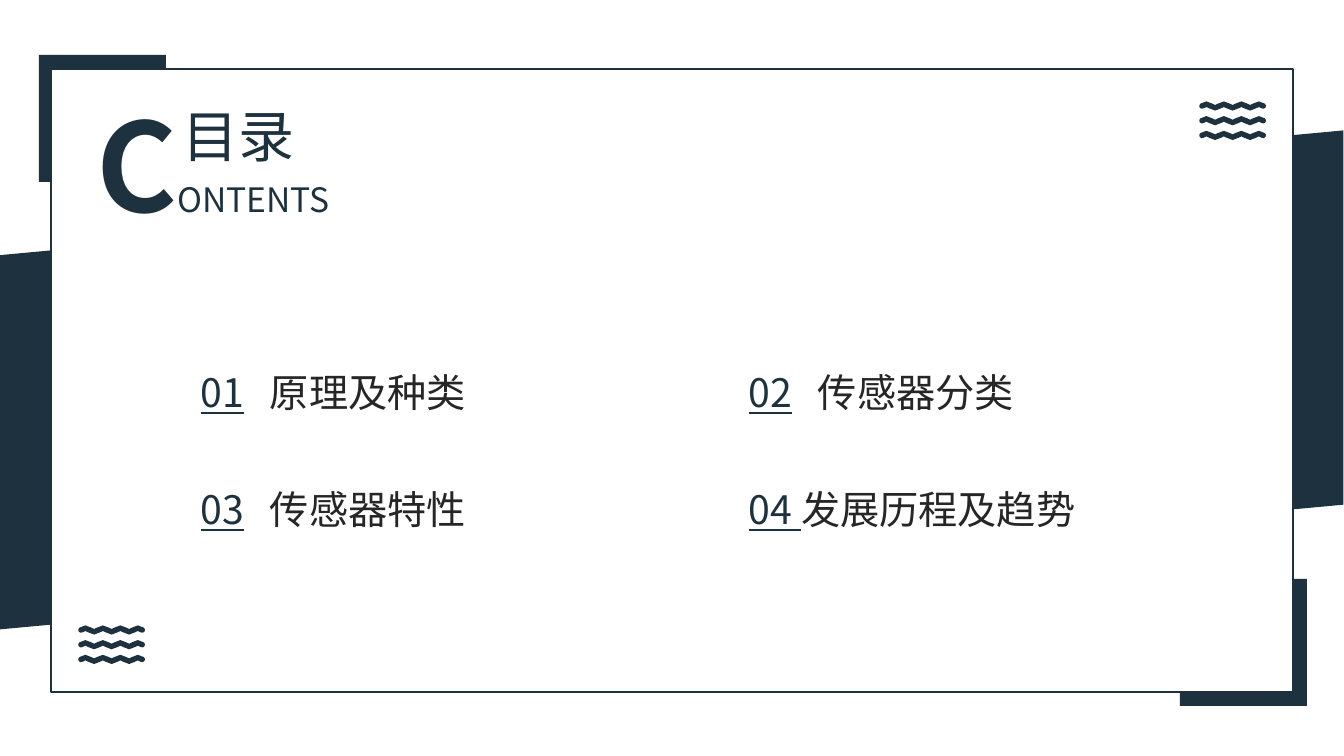
"""Builds the contents slide of a deck about sensors."""
from dataclasses import dataclass
from math import atan, cos, pi, sin

from pptx import Presentation
from pptx.dml.color import RGBColor
from pptx.enum.shapes import MSO_SHAPE
from pptx.enum.text import MSO_ANCHOR, MSO_AUTO_SIZE, PP_ALIGN
from pptx.oxml.ns import qn
from pptx.util import Emu, Pt

TITLE = "目录"
CONTENTS = ("C", "ONTENTS")
AGENDA = [
    ("01", "原理及种类"),
    ("02", "传感器分类"),
    ("03", "传感器特性"),
    ("04 ", "发展历程及趋势"),
]

PAGE_WIDTH, PAGE_HEIGHT = 1344, 756
CORNERS = [(39, 55), (1180, 579)]
CORNER_SIDE = 127
BAND = (422, -292, 499, PAGE_WIDTH)
FRAME = (51, 69, 1242, 623)
TITLE_BOX = (172, 96, 169, 78)
CONTENTS_BOX = (30, 84, 366, 159)
GRID_LEFT, GRID_TOP, COLUMN_STEP, ROW_STEP = 191, 363, 548, 117
NUMBER_WIDTH, HEADING_WIDTH, HEADING_OFFSET, ENTRY_HEIGHT = 96, 346, 69, 57
WAVE_STARTS = [(81, 630), (1202, 106)]
WAVE_ROWS, WAVE_GAP, WAVE_PERIOD, WAVE_CYCLES = 3, 14.7, 17.5, 3.5
WAVE_HEIGHT, WAVE_RADIUS, WAVE_STEPS, CAP_STEPS = 1.8, 2.8, 14, 4


@dataclass(frozen=True)
class Theme:
    """Colours, font and type sizes of the slide."""
    navy: RGBColor = RGBColor.from_string("1D323E")
    white: RGBColor = RGBColor.from_string("FFFFFF")
    ink: RGBColor = RGBColor.from_string("262626")
    font: str = "Noto Sans CJK SC"
    initial: int = 88
    title: int = 40
    entry: int = 28
    word: int = 24


THEME = Theme()


def px(length):
    """Turn pixels into EMU."""
    return Emu(round(length * 914400 / 100.8))


def paint(shape, fill, line=None):
    """Give a shape a flat fill and an optional thin outline."""
    shape.shadow.inherit = False
    shape.fill.solid()
    shape.fill.fore_color.rgb = fill
    if line is None:
        shape.line.fill.background()
    else:
        shape.line.color.rgb = line
        shape.line.width = Pt(1)


def add_block(page, kind, bounds, fill, line=None):
    """Add one painted preset shape."""
    block = page.shapes.add_shape(kind, *map(px, bounds))
    paint(block, fill, line)
    return block


def write(box, spans, align=PP_ALIGN.LEFT):
    """Fill a box with spans of (text, size, colour, bold, underline)."""
    frame = box.text_frame
    frame.word_wrap = True
    frame.auto_size = MSO_AUTO_SIZE.SHAPE_TO_FIT_TEXT
    frame.vertical_anchor = MSO_ANCHOR.TOP
    para = frame.paragraphs[0]
    para.alignment = align
    for text, size, colour, bold, underline in spans:
        span = para.add_run()
        span.text = text
        span.font.name = THEME.font
        span.font.size = Pt(size)
        span.font.color.rgb = colour
        span.font.bold = bold
        span.font.underline = underline
        east_asian = span.font._element.makeelement(qn("a:ea"), {"typeface": THEME.font})
        span.font._element.find(qn("a:latin")).addnext(east_asian)


def add_text(page, bounds, spans, align=PP_ALIGN.LEFT):
    """Add a text box with formatted spans."""
    write(page.shapes.add_textbox(*map(px, bounds)), spans, align)


def wave_outline(left, middle):
    """Return the outline of one round-ended wavy stroke."""
    turn = 2 * pi / WAVE_PERIOD

    def edge(step, angle):
        along = step * WAVE_PERIOD * WAVE_CYCLES / WAVE_STEPS
        tilt = atan(-WAVE_HEIGHT * turn * cos(turn * along))
        return (px(left + along + WAVE_RADIUS * cos(tilt + angle)),
                px(middle - WAVE_HEIGHT * sin(turn * along) + WAVE_RADIUS * sin(tilt + angle)))

    def cap(step, start):
        return [edge(step, start + pi * part / CAP_STEPS) for part in range(1, CAP_STEPS)]

    upper = [edge(step, -pi / 2) for step in range(WAVE_STEPS + 1)]
    lower = [edge(step, pi / 2) for step in range(WAVE_STEPS, -1, -1)]
    return upper + cap(WAVE_STEPS, -pi / 2) + lower + cap(0, pi / 2)


def add_waves(page, left, top):
    """Add a stack of wavy strokes as one outline."""
    outlines = [wave_outline(left, top + row * WAVE_GAP) for row in range(WAVE_ROWS)]
    builder = page.shapes.build_freeform(*outlines[0][0], scale=1.0)
    for row, outline in enumerate(outlines):
        if row:
            builder.move_to(*outline[0])
        builder.add_line_segments(outline[1:], close=True)
    paint(builder.convert_to_shape(), THEME.navy)


def add_agenda(page):
    """Place the numbered entries on a two-column grid."""
    for index, (number, heading) in enumerate(AGENDA):
        row, column = divmod(index, 2)
        left = GRID_LEFT + column * COLUMN_STEP
        top = GRID_TOP + row * ROW_STEP
        number_span = (number, THEME.entry, THEME.navy, False, True)
        heading_span = (heading, THEME.entry, THEME.ink, False, False)
        if number.endswith(" "):
            bounds = (left, top, HEADING_OFFSET + HEADING_WIDTH, ENTRY_HEIGHT)
            add_text(page, bounds, [number_span, heading_span])
        else:
            add_text(page, (left, top, NUMBER_WIDTH, ENTRY_HEIGHT), [number_span])
            bounds = (left + HEADING_OFFSET, top, HEADING_WIDTH, ENTRY_HEIGHT)
            add_text(page, bounds, [heading_span])


def main():
    """Build and save the deck."""
    deck = Presentation()
    deck.slide_width, deck.slide_height = px(PAGE_WIDTH), px(PAGE_HEIGHT)
    page = deck.slides.add_slide(deck.slide_layouts.get_by_name("Title Only"))

    for left, top in CORNERS:
        add_block(page, MSO_SHAPE.RECTANGLE, (left, top, CORNER_SIDE, CORNER_SIDE), THEME.navy)
    band = add_block(page, MSO_SHAPE.PARALLELOGRAM, BAND, THEME.navy)
    band.rotation = 270
    band.element.spPr.find(qn("a:xfrm")).set("flipV", "1")
    add_block(page, MSO_SHAPE.RECTANGLE, FRAME, THEME.white, THEME.navy)
    for start in WAVE_STARTS:
        add_waves(page, *start)

    initial, word = CONTENTS
    add_text(page, CONTENTS_BOX, [
        (initial, THEME.initial, THEME.navy, True, False),
        (word, THEME.word, THEME.navy, False, False),
    ], PP_ALIGN.CENTER)

    title = page.shapes.title
    title.left, title.top, title.width, title.height = map(px, TITLE_BOX)
    write(title, [(TITLE, THEME.title, THEME.navy, False, False)], PP_ALIGN.JUSTIFY)
    page.shapes.element.append(title.element)

    add_agenda(page)
    deck.save("out.pptx")


if __name__ == "__main__":
    main()
